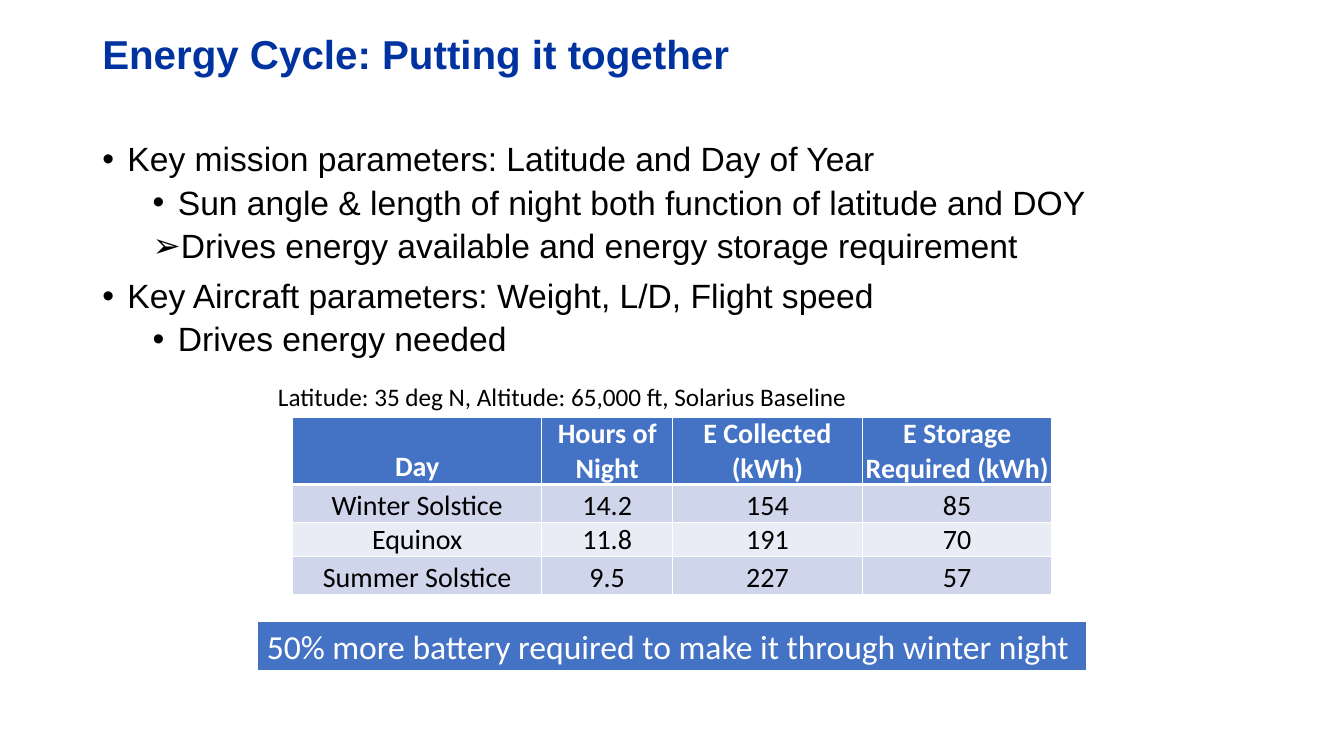
from dataclasses import dataclass

from lxml.etree import SubElement
from pptx import Presentation
from pptx.dml.color import RGBColor
from pptx.enum.shapes import MSO_SHAPE
from pptx.enum.text import MSO_ANCHOR, MSO_AUTO_SIZE as AutoSize, PP_ALIGN
from pptx.oxml import parse_xml
from pptx.oxml.ns import nsdecls, qn
from pptx.shapes.base import BaseShape
from pptx.slide import Slide
from pptx.table import _Cell as Cell
from pptx.text.text import TextFrame, _Paragraph as Paragraph
from pptx.util import Pt

COLORS = {
    "title": "0033A0",
    "text": "000000",
    "accent": "4472C4",
    "white": "FFFFFF",
    "odd_row": "CFD5EA",
    "even_row": "E9EBF5",
}


@dataclass(frozen=True)
class Style:
    font: str
    size: float
    color: str
    bold: bool = False


@dataclass(frozen=True)
class Box:
    left: float
    top: float
    width: float
    height: float

    def lengths(self) -> tuple[Pt, Pt, Pt, Pt]:
        return Pt(self.left), Pt(self.top), Pt(self.width), Pt(self.height)


@dataclass(frozen=True)
class Point:
    text: str
    level: int = 0
    bullet: str = "•"


TITLE = Style("Arial", 28.8, "title", True)
BODY = Style("Arial", 24, "text")
CAPTION = Style("Calibri", 18, "text")
HEADER = Style("Calibri", 20, "white", True)
VALUE = Style("Calibri", 20, "text")
CONCLUSION = Style("Calibri", 24, "white")

POINTS = [
    Point("Key mission parameters: Latitude and Day of Year"),
    Point("Sun angle & length of night both function of latitude and DOY", 1),
    Point("Drives energy available and energy storage requirement", 1, "➢"),
    Point("Key Aircraft parameters: Weight, L/D, Flight speed"),
    Point("Drives energy needed", 1),
]

ENERGY_ROWS = [
    ("Day", "Hours of Night", "E Collected (kWh)", "E Storage Required (kWh)"),
    ("Winter Solstice", "14.2", "154", "85"),
    ("Equinox", "11.8", "191", "70"),
    ("Summer Solstice", "9.5", "227", "57"),
]
COLUMN_WIDTHS = [178, 93.5, 135.5, 135.5]
ROW_HEIGHTS = [41, 27.4, 15.1, 27.4]


def rgb(name: str) -> RGBColor:
    return RGBColor.from_string(COLORS[name])


def add_run(paragraph: Paragraph, text: str, style: Style) -> None:
    run = paragraph.add_run()
    run.text = text
    run.font.name = style.font
    run.font.size = Pt(style.size)
    run.font.bold = style.bold
    run.font.color.rgb = rgb(style.color)


def add_text_frame(slide: Slide, box: Box) -> TextFrame:
    frame = slide.shapes.add_textbox(*box.lengths()).text_frame
    frame.word_wrap = True
    return frame


def write_single_line(shape: BaseShape, text: str, style: Style) -> None:
    """Put left-aligned, unwrapped text in a shape that grows with it."""
    frame = shape.text_frame
    frame.word_wrap = False
    frame.auto_size = AutoSize.SHAPE_TO_FIT_TEXT
    frame.vertical_anchor = MSO_ANCHOR.TOP
    paragraph = frame.paragraphs[0]
    paragraph.alignment = PP_ALIGN.LEFT
    add_run(paragraph, text, style)


def add_title(slide: Slide) -> None:
    frame = add_text_frame(slide, Box(66, 20, 828, 40.5))
    frame.vertical_anchor = MSO_ANCHOR.MIDDLE
    paragraph = frame.paragraphs[0]
    paragraph.line_spacing = 0.9
    add_run(paragraph, "Energy Cycle: Putting it together", TITLE)


def add_points(slide: Slide) -> None:
    frame = add_text_frame(slide, Box(66, 98.5, 828, 343))
    for index, point in enumerate(POINTS):
        paragraph = frame.add_paragraph() if index else frame.paragraphs[0]
        paragraph.level = point.level
        paragraph.line_spacing = 0.9
        if index:
            paragraph.space_before = Pt(5 if point.level else 10)
        properties = paragraph._p.get_or_add_pPr()
        properties.set("marL", str(Pt(18 + 36 * point.level)))
        properties.set("indent", str(Pt(-18)))
        SubElement(properties, qn("a:buFont"), typeface="Arial")
        SubElement(properties, qn("a:buChar"), char=point.bullet)
        add_run(paragraph, point.text, BODY)


def set_borders(cell: Cell, bottom_width: float) -> None:
    properties = cell._tc.get_or_add_tcPr()
    widths = {"lnL": 1, "lnR": 1, "lnT": 1, "lnB": bottom_width}
    for position, (edge, width) in enumerate(widths.items()):
        properties.insert(position, parse_xml(
            f'<a:{edge} {nsdecls("a")} w="{Pt(width)}"><a:solidFill>'
            f'<a:srgbClr val="{COLORS["white"]}"/></a:solidFill></a:{edge}>'
        ))


def fill_cell(cell: Cell, text: str, style: Style, fill: str) -> None:
    cell.margin_left = cell.margin_right = 0
    cell.margin_top = cell.margin_bottom = 0
    cell.vertical_anchor = MSO_ANCHOR.BOTTOM
    cell.fill.solid()
    cell.fill.fore_color.rgb = rgb(fill)
    paragraph = cell.text_frame.paragraphs[0]
    paragraph.alignment = PP_ALIGN.CENTER
    add_run(paragraph, text, style)


def add_energy_table(slide: Slide) -> None:
    box = Box(209, 298, sum(COLUMN_WIDTHS), sum(ROW_HEIGHTS))
    table = slide.shapes.add_table(
        len(ROW_HEIGHTS), len(COLUMN_WIDTHS), *box.lengths()
    ).table
    for column, width in zip(table.columns, COLUMN_WIDTHS):
        column.width = Pt(width)
    for index, (row, height) in enumerate(zip(table.rows, ROW_HEIGHTS)):
        row.height = Pt(height)
        is_header = index == 0
        band = "odd_row" if index % 2 else "even_row"
        for cell, text in zip(row.cells, ENERGY_ROWS[index]):
            fill_cell(cell, text, HEADER if is_header else VALUE,
                      "accent" if is_header else band)
            set_borders(cell, 3 if is_header else 1)


def add_caption(slide: Slide) -> None:
    caption = slide.shapes.add_textbox(*Box(191.5, 268.5, 438, 29).lengths())
    write_single_line(
        caption, "Latitude: 35 deg N, Altitude: 65,000 ft, Solarius Baseline", CAPTION
    )


def add_conclusion(slide: Slide) -> None:
    banner = slide.shapes.add_shape(
        MSO_SHAPE.RECTANGLE, *Box(183.5, 443.5, 593, 36).lengths()
    )
    banner.shadow.inherit = False
    banner.fill.solid()
    banner.fill.fore_color.rgb = rgb("accent")
    banner.line.color.rgb = rgb("white")
    banner.line.width = Pt(1.5)
    write_single_line(
        banner, "50% more battery required to make it through winter night", CONCLUSION
    )


def main() -> None:
    deck = Presentation()
    deck.slide_width, deck.slide_height = Pt(960), Pt(540)
    slide = deck.slides.add_slide(deck.slide_layouts[6])
    add_title(slide)
    add_points(slide)
    add_energy_table(slide)
    add_caption(slide)
    add_conclusion(slide)
    deck.save("out.pptx")


if __name__ == "__main__":
    main()
